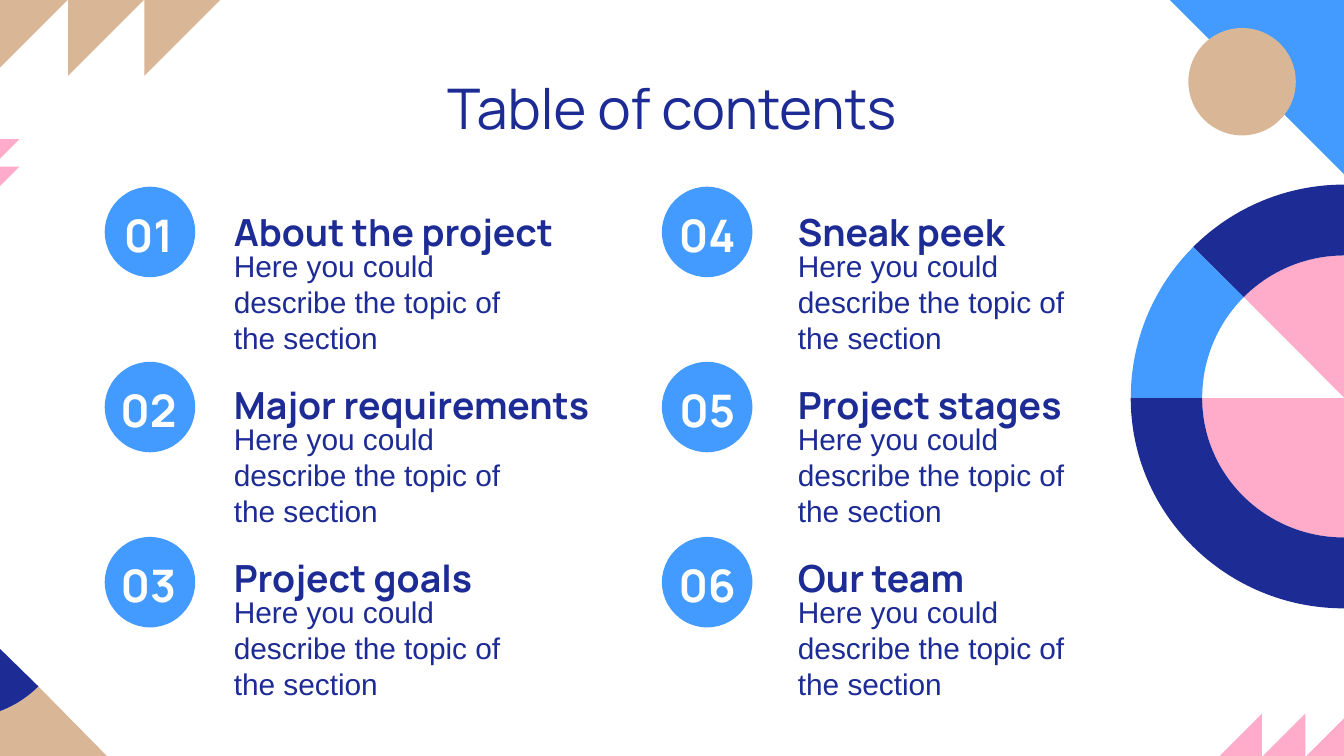
from dataclasses import dataclass
from math import cos, radians, sin, tan

from lxml.etree import SubElement
from pptx import Presentation
from pptx.dml.color import RGBColor
from pptx.enum.shapes import MSO_SHAPE as Preset
from pptx.enum.text import MSO_ANCHOR as Anchor, PP_ALIGN as Align
from pptx.oxml.ns import qn
from pptx.slide import Slide
from pptx.util import Cm, Pt

COLORS = {
    "navy": "1D2B95",
    "blue": "449BFF",
    "tan": "D9B695",
    "pink": "FFACCA",
    "white": "FFFFFF",
}
HEADING_FONT = "Manrope"
BODY_FONT = "Arial"
WIDTH, HEIGHT = 25.4, 14.29

SECTIONS = ["About the project", "Major requirements", "Project goals",
            "Sneak peek", "Project stages", "Our team"]
DESCRIPTION = "Here you could describe the topic of the section"
ROWS = 3
CIRCLE_LEFTS = [1.98, 12.51]
NUMBER_LEFTS = [1.56, 12.12]
TEXT_LEFTS = [4.17, 14.83]


def arc(center, radii, start, end):
    """Start point and Bezier step (two controls and an end) of an arc.

    Degrees run clockwise from the right.
    """
    first, last = radians(start), radians(end)
    pull = 4 / 3 * tan((last - first) / 4)

    def place(angle, shift):
        return (center[0] + radii[0] * (cos(angle) - shift * sin(angle)),
                center[1] + radii[1] * (sin(angle) + shift * cos(angle)))

    return [place(first, 0), (place(first, pull), place(last, -pull), place(last, 0))]


def ring_segment(center, inner, outer, start, end):
    return arc(center, outer, start, end) + arc(center, inner, end, start)


def sector(center, radii, start, end):
    return arc(center, radii, start, end) + [center]


@dataclass
class SlideBuilder:
    """Draws on one slide; all lengths are centimetres."""
    slide: Slide

    def paint(self, shape, color):
        shape.shadow.inherit = False
        shape.fill.solid()
        shape.fill.fore_color.rgb = RGBColor.from_string(COLORS[color])
        shape.line.fill.background()

    def circle(self, left, top, size, color):
        shape = self.slide.shapes.add_shape(
            Preset.OVAL, Cm(left), Cm(top), Cm(size), Cm(size))
        self.paint(shape, color)

    def outline(self, contours, color):
        """Fill contours made of points and Bezier steps."""
        builder = None
        for contour in contours:
            ends = [step[-1] if len(step) == 3 else step for step in contour]
            corners = [(Cm(x), Cm(y)) for x, y in ends]
            if builder is None:
                builder = self.slide.shapes.build_freeform(*corners[0])
            else:
                builder.move_to(*corners[0])
            builder.add_line_segments(corners[1:], close=True)
        shape = builder.convert_to_shape()
        self.bend(shape, contours)
        self.paint(shape, color)

    def bend(self, shape, contours):
        """Turn the straight lines of Bezier steps into curves."""
        lines = iter(list(shape._element.iter(qn("a:lnTo"))))
        for contour in contours:
            for step in contour[1:]:
                line = next(lines)
                if len(step) == 3:
                    line.tag = qn("a:cubicBezTo")
                    for child in list(line):
                        line.remove(child)
                    for x, y in step:
                        SubElement(line, qn("a:pt"), x=str(Cm(x) - shape.left),
                                   y=str(Cm(y) - shape.top))
            # A closed contour may end with a line back to its start.
            if contour[-1] == contour[0]:
                next(lines, None)

    def text(self, content, left, top, width, height, size, font=HEADING_FONT,
             color="navy", bold=False, align=Align.LEFT):
        box = self.slide.shapes.add_textbox(Cm(left), Cm(top), Cm(width), Cm(height))
        frame = box.text_frame
        frame.word_wrap = True
        frame.vertical_anchor = Anchor.MIDDLE
        frame.margin_left = frame.margin_right = Cm(0.25)
        frame.margin_top = frame.margin_bottom = Cm(0.25)
        paragraph = frame.paragraphs[0]
        paragraph.alignment = align
        run = paragraph.add_run()
        run.text = content
        run.font.name = font
        run.font.size = Pt(size)
        run.font.bold = bold
        run.font.color.rgb = RGBColor.from_string(COLORS[color])


def draw_corners(builder):
    side = 0.82
    for i in range(3):
        left, top = 23.03 + side * i, 13.49
        builder.outline([[(left + side, top), (left + side, top + side),
                          (left, top + side)]], "pink")

    hanging = [(-0.15 + 1.44 * i, 0, 1.43, "tan") for i in range(3)]
    hanging += [(-0.15, 2.63 + 0.52 * i, 0.52, "pink") for i in range(2)]
    for left, top, side, color in hanging:
        builder.outline([[(left, top), (left + side, top), (left, top + side)]], color)

    center, radii = (-0.71, 11.54), (2.03, 2.03)
    curve = arc(center, radii, 45, 90) + arc(center, radii, 90, 113)[1:]
    builder.outline([curve + [(-1.5, HEIGHT), (2.02, HEIGHT)]], "tan")
    builder.outline([curve + [(-1.5, 10.8)]], "navy")

    builder.outline([[(21.4, -0.71), (25.43, -0.71), (25.43, 3.32)]], "blue")
    builder.circle(22.46, 0.53, 2.03, "tan")


def draw_contents(builder):
    builder.text("Table of contents", 1.98, 1.22, 21.44, 1.6, 30, align=Align.CENTER)
    for i, section in enumerate(SECTIONS):
        column, row = divmod(i, ROWS)
        circle_drop, text_drop = 3.31 * row, 3.27 * row
        left = TEXT_LEFTS[column]
        builder.circle(CIRCLE_LEFTS[column], 3.53 + circle_drop, 1.71, "blue")
        builder.text(f"{i + 1:02}", NUMBER_LEFTS[column], 3.34 + circle_drop, 2.49, 2.18,
                     24, color="white", bold=True, align=Align.CENTER)
        builder.text(DESCRIPTION, left, 4.9 + text_drop, 6.2, 1.6, 16, font=BODY_FONT)
        builder.text(section, left, 3.89 + text_drop, 8.14, 0.99, 20, bold=True)


def draw_half_ring(builder):
    center = (WIDTH, 7.52)
    inner, outer = (2.68, 2.69), (4.03, 4.03)
    low_inner, low_outer = (2.68, 2.64), (4.03, 3.98)
    builder.outline([sector(center, inner, 225, 270),
                     sector(center, low_inner, 90, 180)], "pink")
    builder.outline([sector(center, inner, 180, 225)], "white")
    builder.outline([ring_segment(center, inner, outer, 225, 270)], "navy")
    builder.outline([ring_segment(center, low_inner, low_outer, 90, 180)], "navy")
    builder.outline([ring_segment(center, inner, outer, 180, 225)], "blue")


def main():
    presentation = Presentation()
    presentation.slide_width = Cm(WIDTH)
    presentation.slide_height = Cm(HEIGHT)
    builder = SlideBuilder(presentation.slides.add_slide(presentation.slide_layouts[6]))
    draw_corners(builder)
    draw_contents(builder)
    draw_half_ring(builder)
    presentation.save("out.pptx")


if __name__ == "__main__":
    main()
